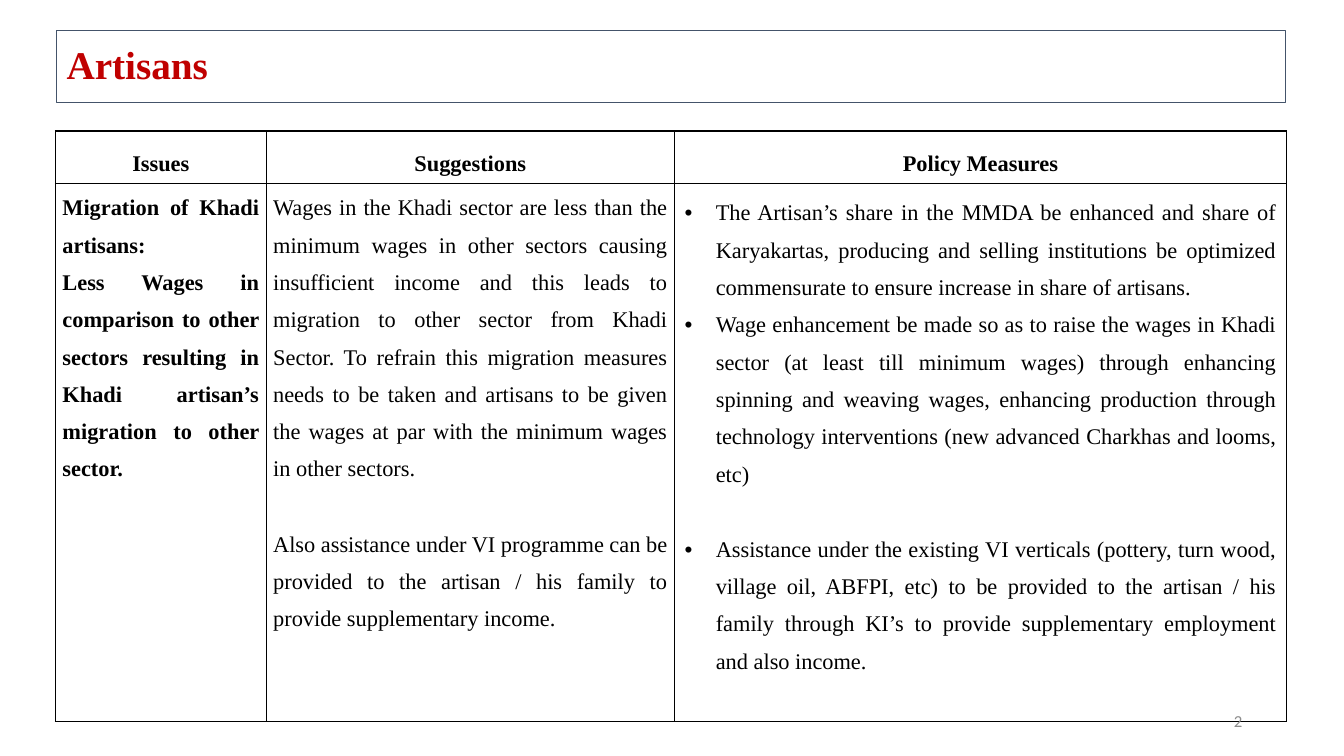
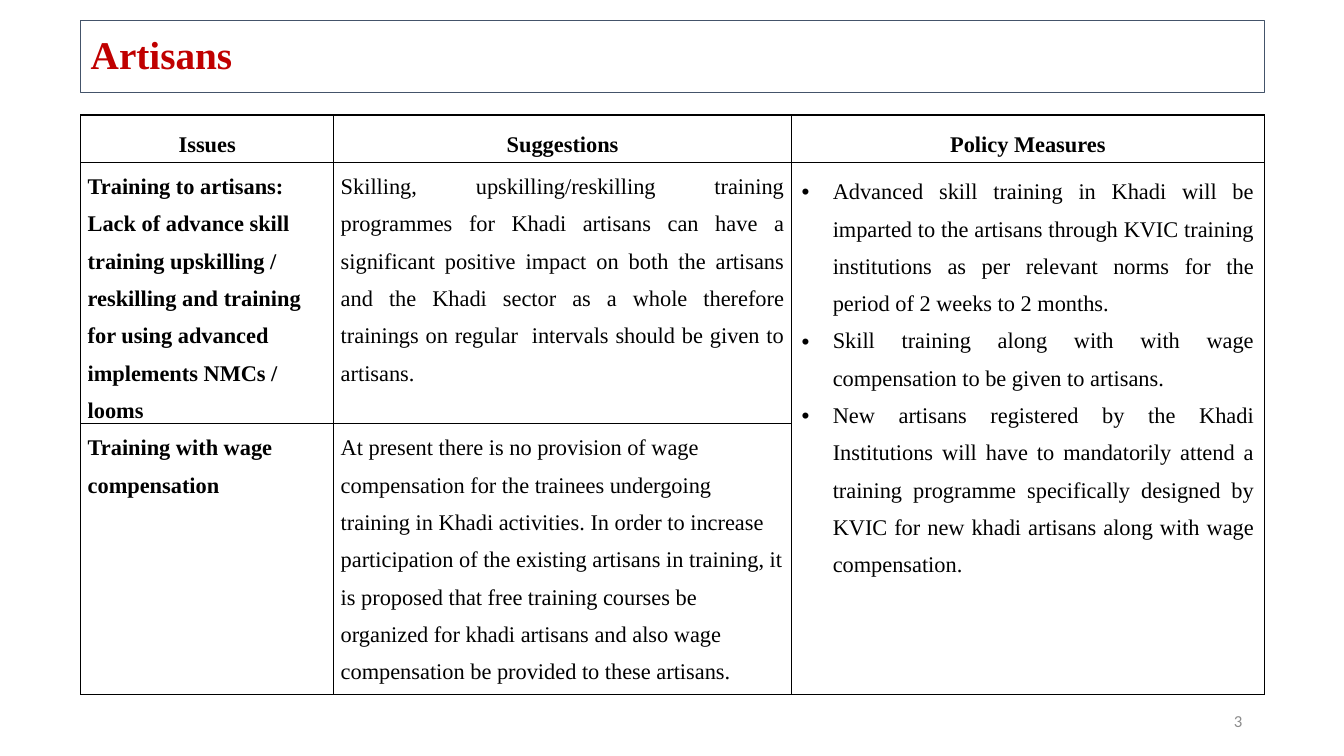
from lxml.etree import SubElement
from pptx import Presentation
from pptx.dml.color import RGBColor
from pptx.enum.text import MSO_ANCHOR, PP_ALIGN
from pptx.oxml.ns import qn
from pptx.util import Emu, Pt

SERIF, SANS = "Times New Roman", "Calibri"
RED, BLACK, GREY, SLATE = "C00000", "000000", "8C8C8C", "44546A"
LEFT, MID, RIGHT, JUST = (
    PP_ALIGN.LEFT, PP_ALIGN.CENTER, PP_ALIGN.RIGHT, PP_ALIGN.JUSTIFY)

TITLE = {"name": SERIF, "size": Pt(28), "bold": True}
BODY = {"name": SERIF, "size": Pt(16), "bold": False}
BOLD = {**BODY, "bold": True}
PAGE = {"name": SANS, "size": Pt(12)}
GAP = Pt(27)  # one line of table text
HEADS = ["Issues", "Suggestions", "Policy Measures"]


def px(num):
    """Turn px, 100 to the inch, into EMU."""
    return Emu(num * 9144)


def rgb(code):
    return RGBColor.from_string(code)


def put(item, vals):
    """Set each attribute named in vals."""
    for key, val in vals.items():
        setattr(item, key, val)


def write(par, text, font, color, **form):
    run = par.add_run()
    run.text = text
    put(run.font, font)
    run.font.color.rgb = rgb(color)
    put(par, form)


def add_title(slide, text, left, top, width):
    title = slide.shapes.title
    put(title, {"left": px(left), "top": px(top),
                "width": px(width), "height": px(72)})
    title.fill.background()
    title.line.color.rgb = rgb(SLATE)
    title.line.width = Pt(0.75)
    frame = title.text_frame
    frame.vertical_anchor = MSO_ANCHOR.MIDDLE
    write(frame.paragraphs[0], text, TITLE, RED,
          alignment=LEFT, line_spacing=0.9)


def add_page(slide, num):
    box = slide.shapes.add_textbox(px(942), px(695), px(300), px(40))
    frame = box.text_frame
    put(frame, {"word_wrap": True, "vertical_anchor": MSO_ANCHOR.MIDDLE})
    write(frame.paragraphs[0], str(num), PAGE, GREY, alignment=RIGHT)


def add_edge(cell):
    """Draw a thin black line on all four sides."""
    props = cell._tc.get_or_add_tcPr()
    for side in ("lnL", "lnR", "lnT", "lnB"):
        line = SubElement(props, qn(f"a:{side}"), w=str(Pt(1)))
        fill = SubElement(line, qn("a:solidFill"))
        SubElement(fill, qn("a:srgbClr"), val=BLACK)
    cell.fill.background()


def add_dot(par):
    """Give the paragraph a bullet with a hanging indent."""
    props = par._p.get_or_add_pPr()
    props.set("marL", str(px(31)))
    props.set("indent", str(px(-31)))
    SubElement(props, qn("a:buFont"), typeface="Arial")
    SubElement(props, qn("a:buChar"), char="•")


def fill_cell(cell, texts, font, align, dots=False, anchor=MSO_ANCHOR.TOP):
    """Write the texts; None leaves a line free before the next one."""
    side, edge = (10, 5) if dots else (7, 0)
    put(cell, {"margin_left": px(side), "margin_right": px(side),
               "margin_top": px(edge), "margin_bottom": px(edge),
               "vertical_anchor": anchor})
    frame = cell.text_frame
    par, space = frame.paragraphs[0], Pt(0)
    for text in texts:
        if text is None:
            space = GAP
            continue
        if par.runs:
            par = frame.add_paragraph()
        write(par, text, font, BLACK, alignment=align,
              line_spacing=1.5, space_before=space)
        if dots:
            add_dot(par)
        space = Pt(0)


def add_grid(slide, left, top, cols, rows, issues, ideas, steps):
    """Build the table; the policy steps span all rows below the heads."""
    shape = slide.shapes.add_table(
        len(rows), len(cols), px(left), px(top), px(sum(cols)), px(sum(rows)))
    grid = shape.table
    put(grid, {"first_row": False, "horz_banding": False})
    for col, width in zip(grid.columns, cols):
        col.width = px(width)
    for row, height in zip(grid.rows, rows):
        row.height = px(height)
    for cell in grid.iter_cells():
        add_edge(cell)
    for num, head in enumerate(HEADS):
        fill_cell(grid.cell(0, num), [head], BOLD, MID,
                  anchor=MSO_ANCHOR.MIDDLE)
    for num, (issue, idea) in enumerate(zip(issues, ideas), 1):
        fill_cell(grid.cell(num, 0), issue[1], BOLD, issue[0])
        fill_cell(grid.cell(num, 1), idea[1], BODY, idea[0])
    if len(rows) > 2:
        grid.cell(1, 2).merge(grid.cell(len(rows) - 1, 2))
    fill_cell(grid.cell(1, 2), steps, BODY, JUST, dots=True)


WAGES = {
    "left": 55, "top": 130, "cols": [209, 405, 607], "rows": [52, 534],
    "issues": [(JUST, [
        "Migration of Khadi artisans:",
        "Less Wages in comparison to other sectors resulting in Khadi "
        "artisan’s migration to other sector."])],
    "ideas": [(JUST, [
        "Wages in the Khadi sector are less than the minimum wages in other "
        "sectors causing insufficient income and this leads to migration to "
        "other sector from Khadi Sector. To refrain this migration measures "
        "needs to be taken and artisans to be given the wages at par with "
        "the minimum wages in other sectors.",
        None,
        "Also assistance under VI programme can be provided to the artisan / "
        "his family to provide supplementary income."])],
    "steps": [
        "The Artisan’s share in the MMDA be enhanced and share of "
        "Karyakartas, producing and selling institutions be optimized "
        "commensurate to ensure increase in share of artisans.",
        "Wage enhancement be made so as to raise the wages in Khadi sector "
        "(at least till minimum wages) through enhancing spinning and "
        "weaving wages, enhancing production through technology "
        "interventions (new advanced Charkhas and looms, etc)",
        None,
        "Assistance under the existing VI verticals (pottery, turn wood, "
        "village oil, ABFPI, etc) to be provided to the artisan / his family "
        "through KI’s to provide supplementary employment and also income."],
}

SKILLS = {
    "left": 80, "top": 114, "cols": [251, 454, 469], "rows": [47, 259, 269],
    "issues": [
        (LEFT, [
            "Training to artisans: Lack of advance skill training upskilling "
            "/ reskilling and training for using advanced implements NMCs / "
            "looms"]),
        (LEFT, ["Training with wage compensation"])],
    "ideas": [
        (JUST, [
            "Skilling, upskilling/reskilling training programmes for Khadi "
            "artisans can have a significant positive impact on both the "
            "artisans and the Khadi sector as a whole therefore trainings on "
            "regular  intervals should be given to artisans."]),
        (LEFT, [
            "At present there is no provision of wage compensation for the "
            "trainees undergoing training in Khadi activities. In order to "
            "increase participation of the existing artisans in training, it "
            "is proposed that free training courses be organized for khadi "
            "artisans and also wage compensation be provided to these "
            "artisans."])],
    "steps": [
        "Advanced skill training in Khadi will be imparted to the artisans "
        "through KVIC training institutions as per relevant norms for the "
        "period of 2 weeks to 2 months.",
        "Skill training along with with wage compensation to be given to "
        "artisans.",
        "New artisans registered by the Khadi Institutions will have to "
        "mandatorily attend a training programme specifically designed by "
        "KVIC for new khadi artisans along with wage compensation."],
}


def main():
    deck = Presentation()
    put(deck, {"slide_width": px(1333), "slide_height": px(750)})
    frames = [((56, 30, 1219), WAGES), ((80, 20, 1174), SKILLS)]
    for num, (place, grid) in enumerate(frames, 2):
        slide = deck.slides.add_slide(deck.slide_layouts[5])
        add_title(slide, "Artisans", *place)
        add_grid(slide, **grid)
        add_page(slide, num)
    deck.save("out.pptx")


if __name__ == "__main__":
    main()
